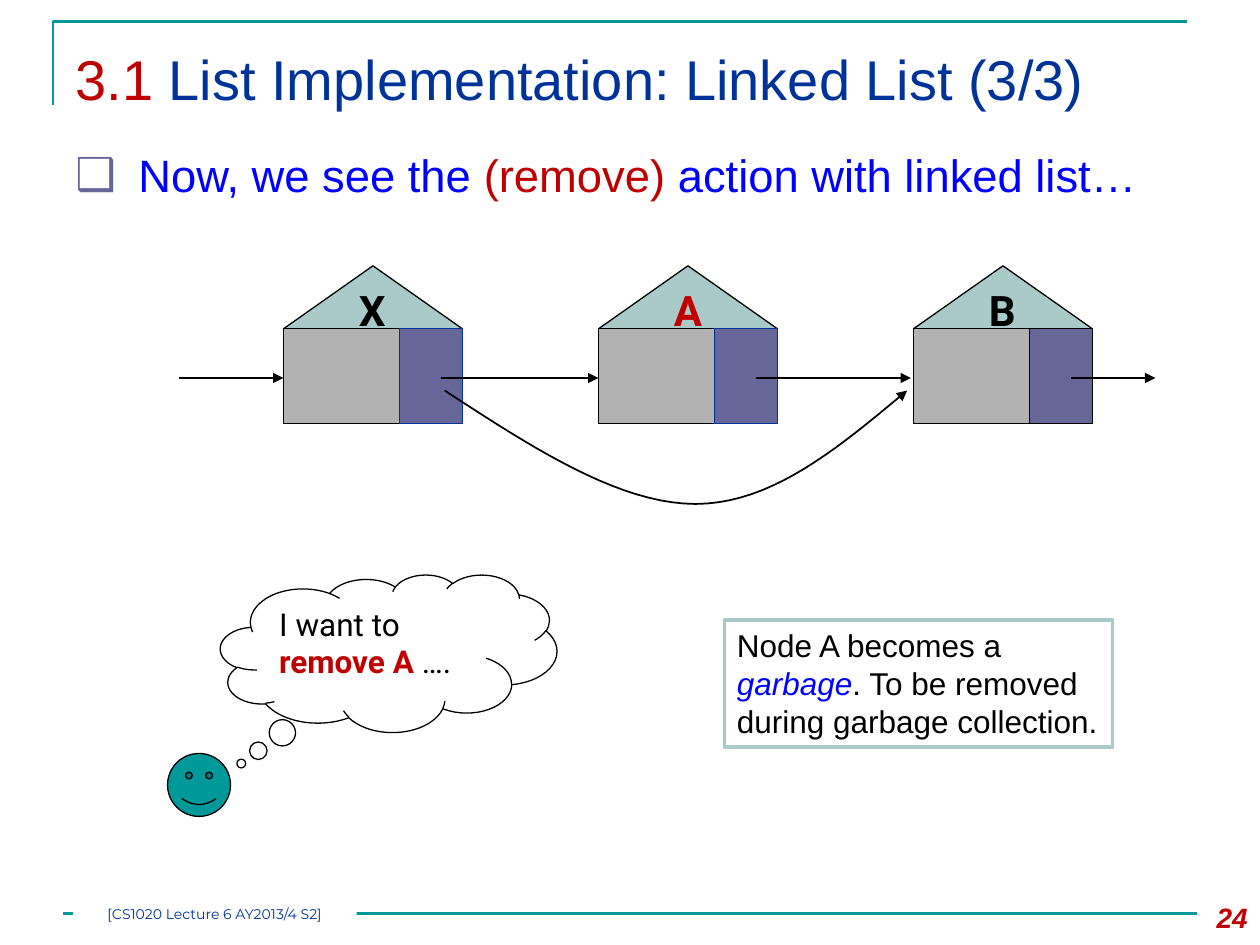
import dataclasses

import pptx
import pptx.dml.color
import pptx.enum.shapes
import pptx.enum.text
import pptx.oxml
import pptx.oxml.ns
import pptx.util

Inches = pptx.util.Inches
Shape = pptx.enum.shapes.MSO_SHAPE
Align = pptx.enum.text.PP_ALIGN
Anchor = pptx.enum.text.MSO_ANCHOR
NS = pptx.oxml.ns.nsdecls("a")


@dataclasses.dataclass(frozen=True)
class Theme:
    teal: str = "009999"
    navy: str = "003399"
    blue: str = "0000FF"
    red: str = "C00000"
    black: str = "000000"
    white: str = "FFFFFF"
    roof: str = "AACACA"
    gray: str = "B2B2B2"
    slate: str = "666699"
    sans: str = "Arial"
    round: str = "Roboto"
    small: str = "Montserrat"
    head: float = 32
    body: float = 25.9
    label: float = 24
    note: float = 18
    page: float = 16
    foot: float = 8
    thin: float = 0.75
    curve: float = 1
    rule: float = 1.5
    frame: float = 2


T = Theme()


def rgb(color):
    return pptx.dml.color.RGBColor.from_string(color)


def stroke(item, color, width):
    item.line.color.rgb = rgb(color)
    item.line.width = pptx.util.Pt(width)


def arrow(item):
    item.line._get_or_add_ln().append(
        pptx.oxml.parse_xml(f'<a:tailEnd {NS} type="triangle"/>'))


def write(item, runs, font, size, align=Align.LEFT, anchor=Anchor.TOP):
    """Fill an item with (text, color, style) runs; style holds b or i."""
    frame = item.text_frame
    frame.word_wrap = True
    frame.vertical_anchor = anchor
    para = frame.paragraphs[0]
    para.alignment = align
    for text, color, style in runs:
        run = para.add_run()
        run.text = text
        run.font.name = font
        run.font.size = pptx.util.Pt(size)
        run.font.color.rgb = rgb(color)
        run.font.bold = "b" in style
        run.font.italic = "i" in style
    return para


def text(slide, box, *args, **opts):
    item = slide.shapes.add_textbox(*map(Inches, box))
    return item, write(item, *args, **opts)


def shape(slide, kind, box, fill, edge=None, width=T.thin):
    item = slide.shapes.add_shape(kind, *map(Inches, box))
    item.shadow.inherit = False
    item.fill.solid()
    item.fill.fore_color.rgb = rgb(fill)
    if edge:
        stroke(item, edge, width)
    else:
        item.line.fill.background()
    return item


def line(slide, start, end, color=T.black, width=T.thin):
    item = slide.shapes.add_connector(
        pptx.enum.shapes.MSO_CONNECTOR.STRAIGHT,
        *map(Inches, start + end))
    stroke(item, color, width)
    item._element.spPr.append(pptx.oxml.parse_xml(f"<a:effectLst {NS}/>"))
    return item


def trace(slide, points, color, width):
    dots = [tuple(map(Inches, dot)) for dot in points]
    build = slide.shapes.build_freeform(*dots[0])
    build.add_line_segments(dots[1:], close=False)
    item = build.convert_to_shape()
    item.shadow.inherit = False
    item.fill.background()
    stroke(item, color, width)
    return item


def bezier(a, b, c, d, steps=20):
    for i in range(steps + 1):
        t = i / steps
        u = 1 - t
        yield tuple(u**3 * p + 3 * u * u * t * q + 3 * u * t * t * r + t**3 * s
                    for p, q, r, s in zip(a, b, c, d))


def header(slide, box):
    x, y, w, h = box
    # Corner rule
    trace(slide, [(x, y + h), (x, y), (x + w, y)], T.teal, T.rule)
    # Title
    item, _ = text(slide, (x + 0.08, y + 0.08, w, 0.86),
                   [("3.1 ", T.red, ""),
                    ("List Implementation: Linked List (3/3)", T.navy, "")],
                   T.sans, T.head)
    item.text_frame.margin_top = Inches(0.1)


def bullet(slide, box):
    item, para = text(slide, box, [], T.sans, T.body)
    props = para._p.get_or_add_pPr()
    props.set("marL", str(Inches(0.5)))
    props.set("indent", str(-Inches(0.5)))
    for part in (f'<a:buClr {NS}><a:srgbClr val="{T.slate}"/></a:buClr>',
                 f'<a:buFont {NS} typeface="{T.sans}"/>',
                 f'<a:buChar {NS} char="❑"/>'):
        props.append(pptx.oxml.parse_xml(part))
    write(item, [("Now, we see the ", T.blue, ""), ("(remove) ", T.red, ""),
                 ("action with linked list…", T.blue, "")], T.sans, T.body)
    item.text_frame.margin_top = Inches(0.09)


def node(slide, box, name, color, edge):
    x, y, w, h = box
    roof, cell = 0.5, 0.92
    shape(slide, Shape.FLOWCHART_EXTRACT, (x, y, w, roof), T.roof, T.black)
    shape(slide, Shape.FLOWCHART_PROCESS, (x, y + roof, cell, h - roof),
          T.gray, T.black)
    shape(slide, Shape.FLOWCHART_PROCESS,
          (x + cell, y + roof, w - cell, h - roof), T.slate, edge)
    text(slide, (x + 0.5, y + 0.1, 0.5, 0.5), [(name, color, "b")],
         T.round, T.label)


def chain(slide, box):
    x, y, w, h = box
    # Nodes at an equal pitch
    nodes = [("X", T.black, T.navy), ("A", T.red, T.navy),
             ("B", T.black, T.black)]
    for i, (name, color, edge) in enumerate(nodes):
        node(slide, (x + 0.83 + 2.5 * i, y, 1.42, h), name, color, edge)
    # Links between neighbours
    mid = y + 0.89
    for start, end in ((0, 0.83), (2.08, 3.33), (4.58, 5.81), (7.08, w)):
        arrow(line(slide, (x + start, mid), (x + end, mid)))
    # Bypass from X to B
    a, low, b = (x + 2.11, y + 0.99), (x + 4.1, y + 1.89), (x + 5.78, y + 0.99)
    left = bezier(a, (x + 2.8, y + 1.44), (x + 3.49, low[1]), low)
    right = bezier(low, (x + 4.71, low[1]), (x + 5.24, y + 1.44), b)
    arrow(trace(slide, [*left, *list(right)[1:]], T.black, T.curve))


def thought(slide, box):
    x, y, w, h = box
    face = shape(slide, Shape.SMILEY_FACE, (x, y + h - 0.5, 0.5, 0.5),
                 T.teal, T.black)
    face.adjustments[0] = 0.047
    cloud = shape(slide, Shape.CLOUD_CALLOUT, (x + 0.42, y, w - 0.42, 1.25),
                  T.white, T.black)
    cloud.adjustments[0] = -0.438
    cloud.adjustments[1] = 0.7
    write(cloud, [("I want to ", T.black, ""), ("remove A ", T.red, "b"),
                  ("….", T.black, "")], T.round, T.note)


def note(slide, box):
    item = shape(slide, Shape.RECTANGLE, box, T.white, T.roof, T.frame)
    write(item, [("Node A becomes a ", T.black, ""), ("garbage", T.blue, "i"),
                 (". To be removed during garbage collection.", T.black, "")],
          T.sans, T.note)


def footer(slide, box):
    x, y, w, h = box
    line(slide, (x, y + 0.15), (x + 9, y + 0.15), T.teal, T.rule)
    tag = shape(slide, Shape.RECTANGLE, (x + 0.08, y + 0.07, 2.25, 0.17),
                T.white)
    write(tag, [("[CS1020 Lecture 6 AY2013/4 S2]", T.navy, "")],
          T.small, T.foot, Align.CENTER, Anchor.MIDDLE)
    frame = tag.text_frame
    frame.margin_left = frame.margin_right = 0
    frame.margin_top = frame.margin_bottom = 0
    # Page number
    text(slide, (x + w - 0.67, y, 0.67, h), [("24", T.red, "bi")],
         T.sans, T.page, Align.RIGHT)


def main():
    deck = pptx.Presentation()
    deck.slide_width, deck.slide_height = Inches(10), Inches(7.5)
    slide = deck.slides.add_slide(deck.slide_layouts[6])
    header(slide, (0.42, 0.17, 9, 0.66))
    bullet(slide, (0.5, 1.08, 9, 0.83))
    chain(slide, (1.42, 2.11, 7.75, 1.25))
    thought(slide, (1.33, 4.56, 3.09, 1.92))
    note(slide, (5.75, 4.92, 3.08, 1.01))
    footer(slide, (0.5, 7.1, 9.5, 0.4))
    deck.save("out.pptx")


if __name__ == "__main__":
    main()
